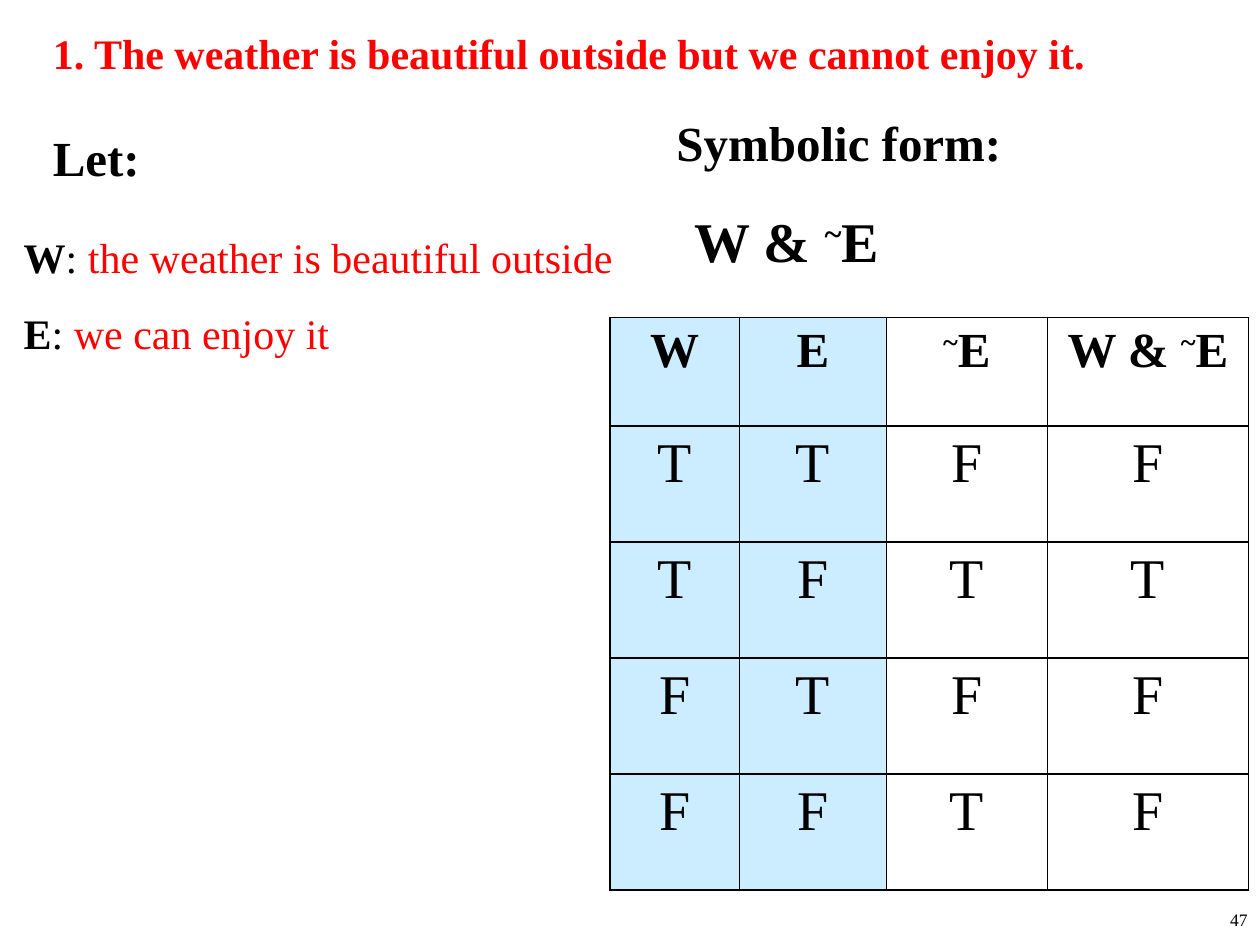
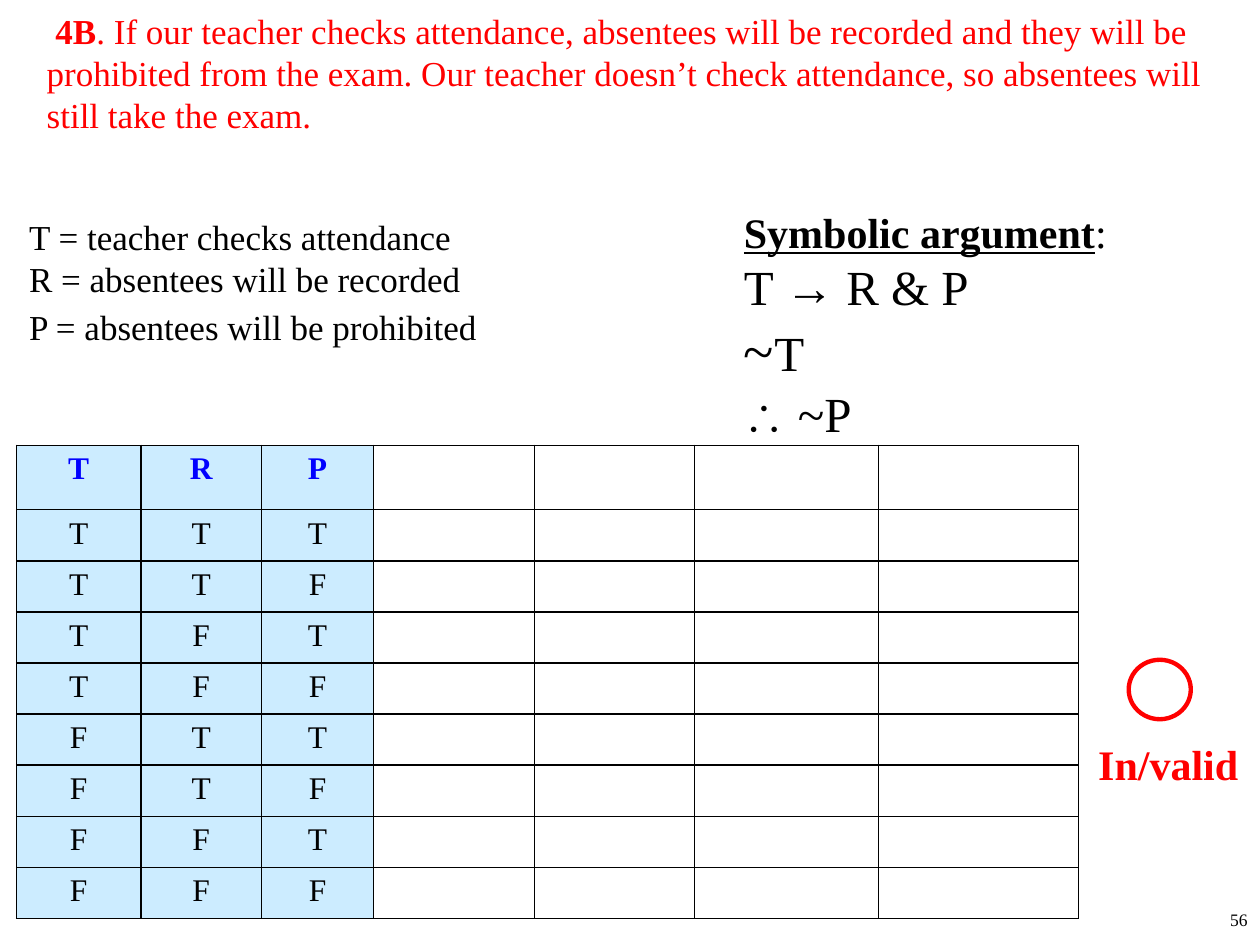
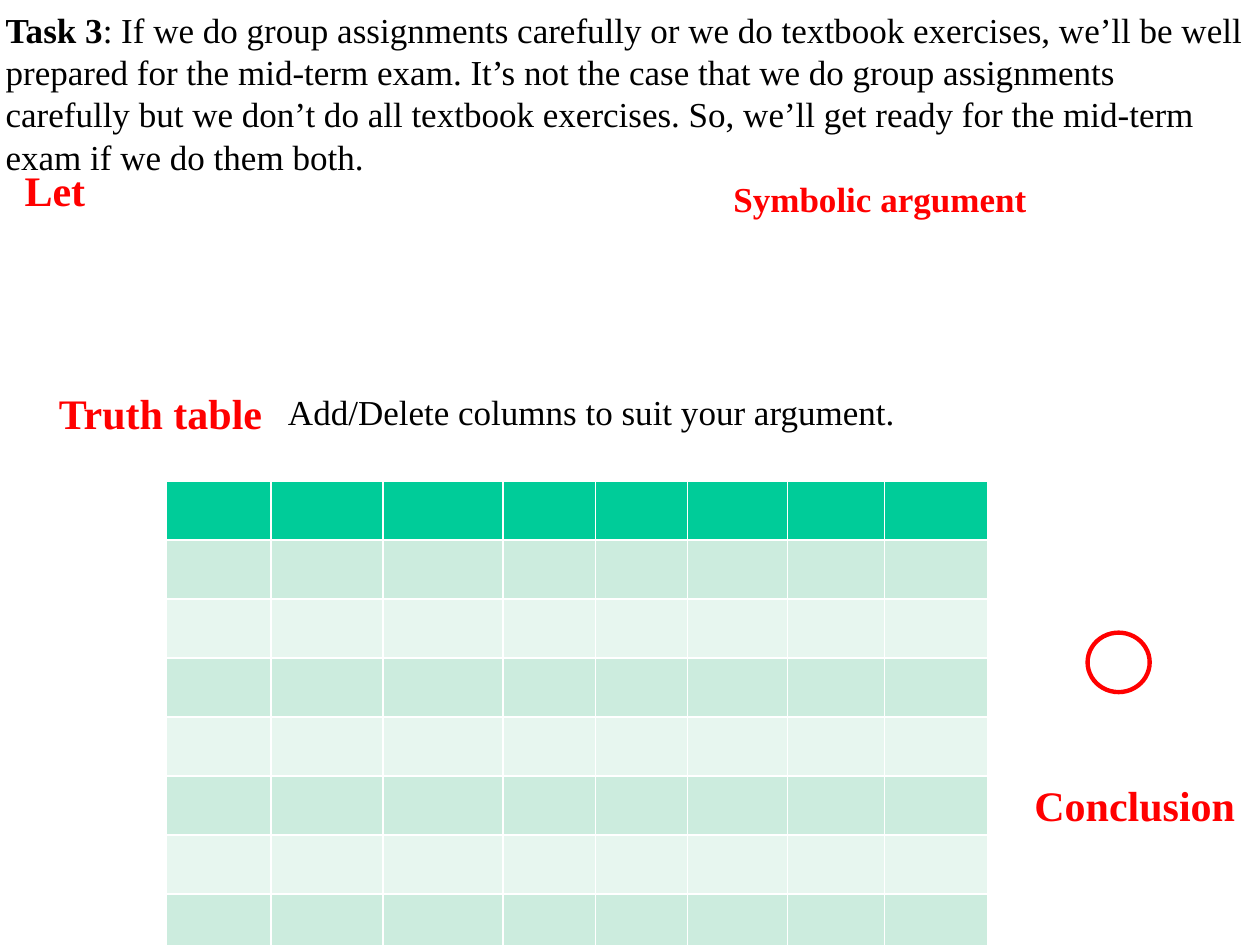
from dataclasses import dataclass
from itertools import product
from typing import NamedTuple, Optional

from lxml import etree
from pptx import Presentation
from pptx.dml.color import RGBColor
from pptx.enum import shapes, text
from pptx.oxml import ns
from pptx.util import Pt

# Shared look
FONT = "Times New Roman"
BLACK = RGBColor(0x00, 0x00, 0x00)
WHITE = RGBColor(0xFF, 0xFF, 0xFF)
RED = RGBColor(0xFF, 0x00, 0x00)
BLUE = RGBColor(0x00, 0x00, 0xFF)
PALE_BLUE = RGBColor(0xCC, 0xEC, 0xFF)
GREEN = RGBColor(0x00, 0xCC, 0x99)
MINT = RGBColor(0xCC, 0xEC, 0xDE)
PALE_MINT = RGBColor(0xE7, 0xF6, 0xEF)

TITLE_AND_BODY, TITLE_ONLY, BLANK = 1, 5, 6


class Box(NamedTuple):
    left: float
    top: float
    width: float
    height: float

    def points(self):
        return [Pt(value) for value in self]


@dataclass
class Span:
    text: str
    size: float = 24
    color: RGBColor = BLACK
    bold: bool = False
    underline: bool = False
    raised: bool = False


@dataclass
class TruthTable:
    left: float
    top: float
    columns: list[float]
    rows: list[float]
    cells: list[list[list[Span]]]
    fills: list[list[RGBColor]]
    border: RGBColor


# Text
def write_para(para, spans: list[Span], *, align=text.PP_ALIGN.LEFT,
               line_spacing: Optional[float] = None, space_before: float = 0,
               margin: float = 0, indent: float = 0) -> None:
    properties = para._p.get_or_add_pPr()
    properties.set("marL", str(Pt(margin)))
    properties.set("indent", str(Pt(indent)))
    para.alignment = align
    para.space_before = Pt(space_before)
    if line_spacing:
        para.line_spacing = line_spacing
    if not spans:
        return
    etree.SubElement(properties, ns.qn("a:buNone"))
    for part in spans:
        span = para.add_run()
        span.text = part.text
        font = span.font
        font.name = FONT
        font.size = Pt(part.size)
        font.bold = part.bold
        font.underline = part.underline
        font.color.rgb = part.color
        if part.raised:
            font._rPr.set("baseline", "30000")


def write_box(box, place: Box, paras: list[list[Span]], *,
              anchor=text.MSO_ANCHOR.TOP, last_gap: float = 0, **layout) -> None:
    box.left, box.top, box.width, box.height = place.points()
    frame = box.text_frame
    frame.word_wrap = True
    frame.auto_size = text.MSO_AUTO_SIZE.NONE
    frame.vertical_anchor = anchor
    for index, spans in enumerate(paras):
        para = frame.add_paragraph() if index else frame.paragraphs[0]
        is_last = 0 < index == len(paras) - 1
        write_para(para, spans, space_before=last_gap if is_last else 0, **layout)


def add_text(page, place: Box, *paras: list[Span], **layout) -> None:
    write_box(page.shapes.add_textbox(*place.points()), place, list(paras), **layout)


def add_label(page, place: Box, label: str, *, size: float = 24,
              color: RGBColor = RED, bold: bool = True) -> None:
    add_text(page, place, [Span(label, size, color, bold)])


def add_page_number(page, number: int) -> None:
    add_text(page, Box(570, 516, 150, 24), [Span(str(number), 10)],
             align=text.PP_ALIGN.RIGHT)


# Shapes and tables
def add_answer_ring(page, left: float, top: float) -> None:
    ring = page.shapes.add_shape(shapes.MSO_SHAPE.OVAL,
                                 *Box(left, top, 35.5, 34).points())
    ring.shadow.inherit = False
    ring.fill.background()
    ring.line.color.rgb = RED
    ring.line.width = Pt(2.5)


def set_borders(cell, color: RGBColor) -> None:
    properties = cell._tc.get_or_add_tcPr()
    for index, side in enumerate(("lnL", "lnR", "lnT", "lnB")):
        line = etree.Element(ns.qn(f"a:{side}"), w=str(Pt(1)))
        fill = etree.SubElement(line, ns.qn("a:solidFill"))
        etree.SubElement(fill, ns.qn("a:srgbClr"), val=str(color))
        properties.insert(index, line)


def add_truth_table(page, spec_table: TruthTable) -> None:
    widths, heights = spec_table.columns, spec_table.rows
    place = Box(spec_table.left, spec_table.top, sum(widths), sum(heights))
    table = page.shapes.add_table(len(heights), len(widths), *place.points()).table
    table.first_row = table.horz_banding = False
    for column, width in zip(table.columns, widths):
        column.width = Pt(width)
    for row, height in zip(table.rows, heights):
        row.height = Pt(height)
    for row, column in product(range(len(heights)), range(len(widths))):
        cell = table.cell(row, column)
        cell.fill.solid()
        cell.fill.fore_color.rgb = spec_table.fills[row][column]
        set_borders(cell, spec_table.border)
        write_para(cell.text_frame.paragraphs[0], spec_table.cells[row][column],
                   align=text.PP_ALIGN.CENTER)


def letter_fills(rows: int, letters: int, columns: int) -> list[list[RGBColor]]:
    return [[PALE_BLUE] * letters + [WHITE] * (columns - letters)] * rows


# Slides
def build_weather(deck) -> None:
    page = deck.slides.add_slide(deck.slide_layouts[TITLE_AND_BODY])
    write_box(page.shapes.title, Box(23, 4, 674, 52.5),
              [[Span("1. The weather is beautiful outside but we cannot enjoy it.",
                     24, RED, True)]], anchor=text.MSO_ANCHOR.MIDDLE)
    write_box(page.placeholders[1], Box(23, 69, 75.5, 39),
              [[Span("Let:", 28, bold=True)]])
    add_label(page, Box(379.5, 61, 257, 41), "Symbolic form:", size=28, color=BLACK)
    meanings = {"W": "the weather is beautiful outside", "E": "we can enjoy it"}
    add_text(page, Box(6.5, 114.5, 360, 89),
             *[[Span(letter, bold=True), Span(": "), Span(meaning, color=RED)]
               for letter, meaning in meanings.items()], line_spacing=1.5)

    def formula(size: float) -> list[Span]:
        return [Span("W & ", size, bold=True), *negation(size)]

    def negation(size: float) -> list[Span]:
        return [Span("~", size, bold=True, raised=True), Span("E", size, bold=True)]

    add_text(page, Box(390, 114.5, 213, 46), formula(32))

    header = [[Span("W", 28, bold=True)], [Span("E", 28, bold=True)],
              negation(28), formula(28)]
    cells = [header]
    for weather, enjoy in product((True, False), repeat=2):
        values = (weather, enjoy, not enjoy, weather and not enjoy)
        cells.append([[Span("T" if value else "F", 32)] for value in values])
    add_truth_table(page, TruthTable(
        348.5, 181.5, [74, 84, 92, 115], [62] + [66.3] * 4,
        cells, letter_fills(5, 2, 4), BLACK))
    add_page_number(page, 47)


def build_attendance(deck) -> None:
    page = deck.slides.add_slide(deck.slide_layouts[TITLE_ONLY])
    write_box(page.shapes.title, Box(1.5, 2, 718.5, 59), [[
        Span("4B", 20, RED, True),
        Span(". If our teacher checks attendance, absentees will be recorded and "
             "they will be prohibited from the exam. Our teacher doesn’t check "
             "attendance, so absentees will still take the exam.", 20, RED)]],
        margin=18, indent=5)
    add_text(page, Box(9.5, 119.5, 409, 114),
             [Span("T = teacher checks attendance", 20)],
             [Span("R = absentees will be recorded", 20)],
             [Span("P = absentees will be prohibited", 20)], last_gap=3.5)
    add_text(page, Box(418, 114.5, 359, 143),
             [Span("Symbolic argument", bold=True, underline=True), Span(":")],
             [Span("T → R & P", 28)],
             [Span("~", 32), Span("T", 28)],
             [Span("∴"), Span(" ~P", 28)])

    columns = [71, 69, 64, 92, 91.5, 105, 114.5]
    blanks = [[]] * (len(columns) - 3)
    cells = [[[Span(letter, 18, BLUE, True)] for letter in "TRP"] + blanks]
    cells += [[[Span(value, 18)] for value in values] + blanks
              for values in product("TF", repeat=3)]
    add_truth_table(page, TruthTable(
        9.5, 254.5, columns, [36.8] + [28.9] * 8,
        cells, letter_fills(9, 3, len(columns)), BLACK))
    add_answer_ring(page, 645, 377)
    add_label(page, Box(620.5, 418.5, 113, 36), "In/valid")
    add_page_number(page, 56)


def build_task(deck) -> None:
    page = deck.slides.add_slide(deck.slide_layouts[TITLE_AND_BODY])
    title = page.shapes.title._element
    title.getparent().remove(title)
    write_box(page.placeholders[1], Box(-4, 1.5, 724, 103), [[
        Span("Task 3", 20, bold=True),
        Span(": If we do group assignments carefully or we do textbook exercises, "
             "we’ll be well prepared for the mid-term exam. It’s not the case that "
             "we do group assignments carefully but we don’t do all textbook "
             "exercises. So, we’ll get ready for the mid-term exam if we do them "
             "both.", 20)]])

    columns = [60, 64, 68.5, 53, 52.5, 57, 55.5, 59]
    bands = [GREEN] + [MINT, PALE_MINT] * 4
    add_truth_table(page, TruthTable(
        95, 275, columns, [33.7] * len(bands),
        [[[]] * len(columns)] * len(bands),
        [[band] * len(columns) for band in bands], WHITE))
    add_label(page, Box(7, 90.5, 70.5, 36), "Let")
    add_label(page, Box(26.5, 218, 137.5, 36), "Truth table")
    add_label(page, Box(584, 442, 146, 36), "Conclusion")
    add_label(page, Box(157.5, 219.5, 377, 36),
              "Add/Delete columns to suit your argument.",
              size=20, color=BLACK, bold=False)
    add_label(page, Box(412, 98, 282, 31.5), "Symbolic argument", size=20)
    add_answer_ring(page, 621.5, 361.5)


def main() -> None:
    deck = Presentation()
    deck.slide_width, deck.slide_height = Pt(720), Pt(540)
    build_weather(deck)
    build_attendance(deck)
    build_task(deck)
    deck.save("out.pptx")


if __name__ == "__main__":
    main()
